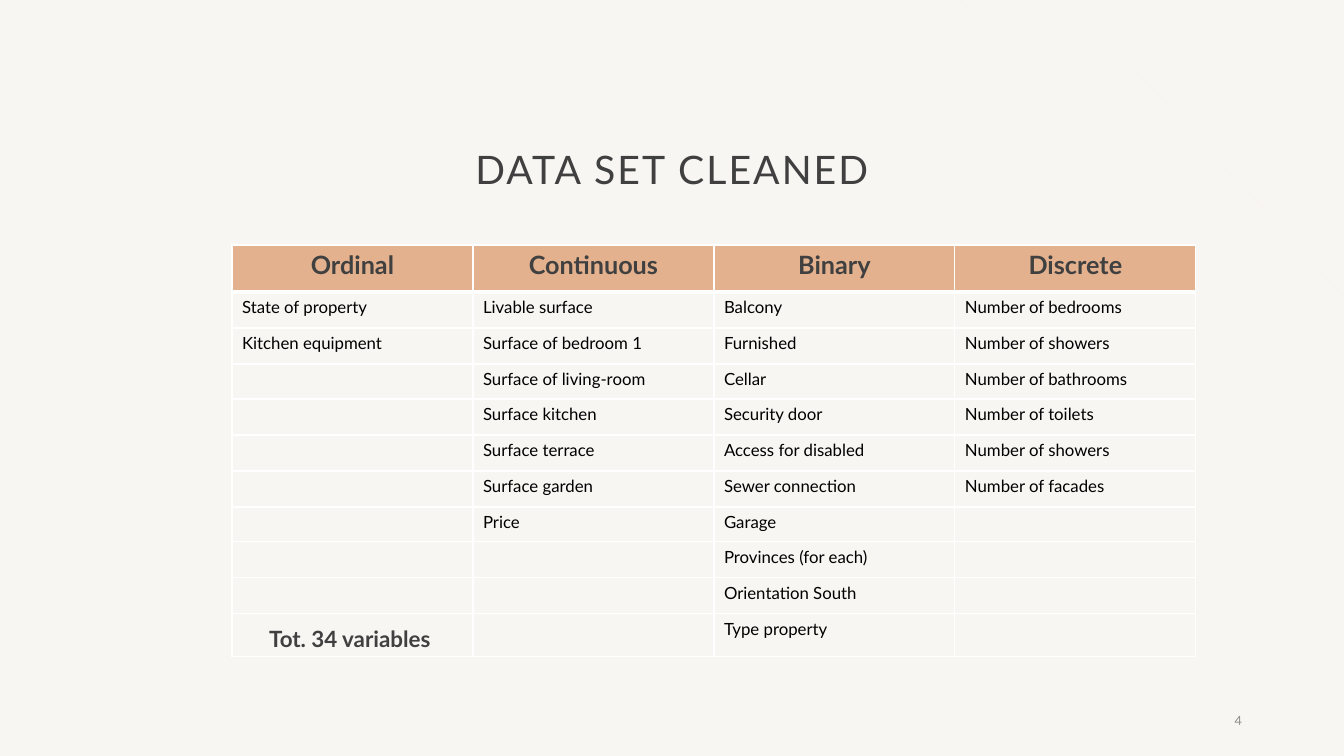
from lxml.etree import SubElement
from pptx import Presentation
from pptx.dml.color import RGBColor
from pptx.enum.shapes import MSO_CONNECTOR
from pptx.enum.text import MSO_ANCHOR as ANCHOR, PP_ALIGN as ALIGN
from pptx.oxml import parse_xml
from pptx.oxml.ns import nsdecls, qn
from pptx.util import Pt

TITLE = "DATA SET CLEANED"
PAGE = "4"
TOTAL = "Tot. 34 variables "
COLUMNS = {
    "Ordinal": ["State of property", "Kitchen equipment"],
    "Continuous": ["Livable surface", "Surface of bedroom 1", "Surface of living-room",
                   "Surface kitchen", "Surface terrace", "Surface garden", "Price"],
    "Binary": ["Balcony", "Furnished", "Cellar", "Security door", "Access for disabled",
               "Sewer connection", "Garage", "Provinces (for each)", "Orientation South",
               "Type property"],
    "Discrete": ["Number of bedrooms", "Number of showers", "Number of bathrooms",
                 "Number of toilets", "Number of showers", "Number of facades"],
}
COLORS = {"paper": "F7F6F3", "rays": "FBF4EF", "title": "404040", "page": "8C8C8C",
          "header": "E3B18D", "body": "000000", "border": "FFFFFF"}
FONT = "Lato"
RAYS = [(958, 0, 1344, 259), (1071, 0, 1344, 297)]
LEFT, TOP, COL_W = 232, 245, 241
HEADER_H, BODY_H, LAST_H = 47, 322, 43
N_BODY = max(len(items) for items in COLUMNS.values())


def px(*values):
    """Turn pixels into EMU."""
    return [round(v * 914400 / 100.8) for v in values]


def rgb(name):
    """Look up a colour by name."""
    return RGBColor.from_string(COLORS[name])


def add_run(p, text, size, color, bold=False):
    """Add one formatted run to a paragraph."""
    r = p.add_run()
    r.text = text
    r.font.name, r.font.size, r.font.bold = FONT, Pt(size), bold
    r.font.color.rgb = rgb(color)
    return r


def add_ray(x1, y1, x2, y2):
    """Draw one faint corner line."""
    line = slide.shapes.add_connector(MSO_CONNECTOR.STRAIGHT, *px(x1, y1, x2, y2))
    line.line.color.rgb = rgb("rays")
    line.line.width = Pt(0.5)
    SubElement(line._element.spPr, qn("a:effectLst"))


def set_borders(cell, top, bottom):
    """Give a cell its borders, one point wide at the sides."""
    widths = {"lnL": 1, "lnR": 1, "lnT": top, "lnB": bottom}
    for i, (tag, width) in enumerate(widths.items()):
        cell._tc.get_or_add_tcPr().insert(i, parse_xml(
            f'<a:{tag} {nsdecls("a")} w="{Pt(width)}"><a:solidFill>'
            f'<a:srgbClr val="{COLORS["border"]}"/></a:solidFill></a:{tag}>'))


def fill_cell(row, col, text):
    """Write and format one table cell."""
    cell = table.cell(row, col)
    p = cell.text_frame.paragraphs[0]
    if row == 0:
        cell.fill.solid()
        cell.fill.fore_color.rgb = rgb("header")
    else:
        cell.fill.background()
    set_borders(cell, 3 if row == 1 else 1, 3 if row == 0 else 1)
    if row == 0 or text == TOTAL:
        p.alignment = ALIGN.CENTER
        add_run(p, text, 18 if row == 0 else 16, "title", True)
        if text == TOTAL:
            cell.vertical_anchor = ANCHOR.BOTTOM
    elif text:
        add_run(p, text, 12, "body")
    else:
        SubElement(p._p, qn("a:endParaRPr"), sz="1200")


prs = Presentation()
prs.slide_width, prs.slide_height = px(1344, 756)
slide = prs.slides.add_slide(prs.slide_layouts[5])
slide.background.fill.solid()
slide.background.fill.fore_color.rgb = rgb("paper")

for ray in RAYS:
    add_ray(*ray)

title = slide.shapes.title
title.left, title.top, title.width, title.height = px(208, 99, 928, 146)
title.text_frame.vertical_anchor = ANCHOR.MIDDLE
p = title.text_frame.paragraphs[0]
p.alignment, p.line_spacing = ALIGN.CENTER, 0.9
r = add_run(p, TITLE, 28, "title")
r.font._element.set("spc", "150")

page = slide.shapes.add_textbox(*px(950, 701, 302, 40))
tf = page.text_frame
tf.word_wrap, tf.vertical_anchor = True, ANCHOR.MIDDLE
tf.paragraphs[0].alignment = ALIGN.RIGHT
add_run(tf.paragraphs[0], PAGE, 9, "page")

edges = [round(i * BODY_H / (N_BODY - 1)) for i in range(N_BODY)]
heights = [HEADER_H, *(b - a for a, b in zip(edges, edges[1:])), LAST_H]
table = slide.shapes.add_table(
    len(heights), len(COLUMNS),
    *px(LEFT, TOP, COL_W * len(COLUMNS), sum(heights))).table
table.first_row = table.horz_banding = False
for row, height in zip(table.rows, px(*heights)):
    row.height = height
for c, (head, items) in enumerate(COLUMNS.items()):
    table.columns[c].width = px(COL_W)[0]
    texts = [head, *items, *[""] * (N_BODY - len(items))]
    if c == 0:
        texts[-1] = TOTAL
    for i, text in enumerate(texts):
        fill_cell(i, c, text)

prs.save("out.pptx")
